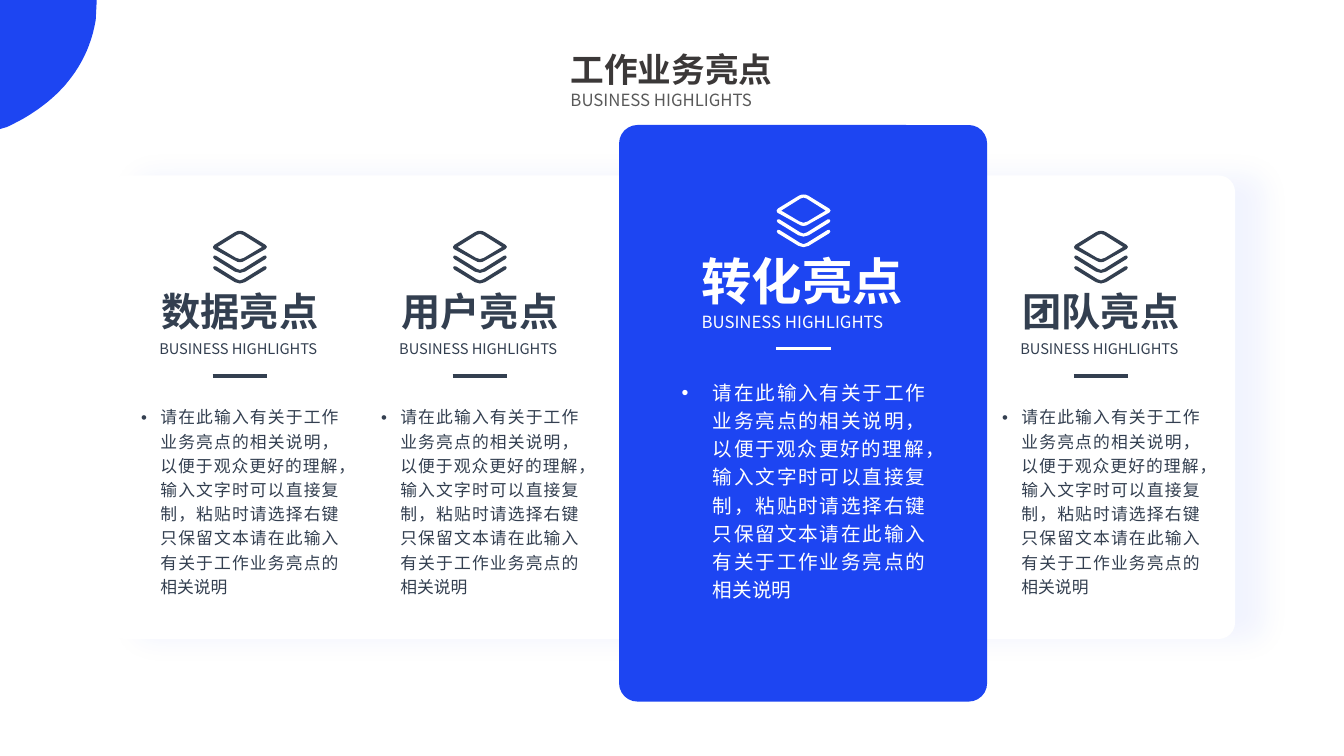
from lxml import etree
from pptx import Presentation
from pptx.dml.color import RGBColor
from pptx.enum.shapes import MSO_CONNECTOR, MSO_SHAPE
from pptx.enum.text import MSO_ANCHOR, MSO_AUTO_SIZE, PP_ALIGN
from pptx.oxml import parse_xml
from pptx.oxml.ns import nsdecls, qn
from pptx.util import Pt

PX = 9144
FINE = PX / 10
LINE = MSO_CONNECTOR.STRAIGHT
ROUND = MSO_SHAPE.ROUNDED_RECTANGLE
TOP = MSO_ANCHOR.TOP
FIXED = MSO_AUTO_SIZE.NONE
MID = PP_ALIGN.CENTER
JUST = PP_ALIGN.JUSTIFY


class Theme:
    font = "Noto Sans CJK SC"
    blue = RGBColor.from_string("1D45F2")
    white = RGBColor.from_string("FFFFFF")
    slate = RGBColor.from_string("333F50")
    dark = RGBColor.from_string("3B3838")
    gray = RGBColor.from_string("595959")
    title, tag = 24, 12
    small = {"name": 28, "tag": 10.5, "body": 12}
    large = {"name": 36, "tag": 12, "body": 14}


TAG = "BUSINESS HIGHLIGHTS "
BODY = ("请在此输入有关于工作业务亮点的相关说明，以便于观众更好的理解，"
        "输入文字时可以直接复制，粘贴时请选择右键只保留文本"
        "请在此输入有关于工作业务亮点的相关说明")

deck = Presentation()
deck.slide_width, deck.slide_height = 1333 * PX, 750 * PX
slide = deck.slides.add_slide(deck.slide_layouts[4])
shapes = slide.shapes
title, *lists = slide.placeholders


def write(box, rect, text, size, color, align, bold=False, gap=1.0, hang=0):
    shapes.element.append(box.element)
    box.left, box.top, box.width, box.height = [n * PX for n in rect]
    frame = box.text_frame
    frame.word_wrap = True
    frame.auto_size = FIXED
    frame.vertical_anchor = TOP
    frame.text = text
    para = frame.paragraphs[0]
    para.alignment = align
    para.line_spacing = gap
    para.space_before = Pt(0)
    props = para._p.get_or_add_pPr()
    if hang:
        props.set("marL", str(hang * PX))
        props.set("indent", str(-hang * PX))
        etree.SubElement(props, qn("a:buFont")).set("typeface", "Arial")
        etree.SubElement(props, qn("a:buChar")).set("char", "•")
    font = para.font
    font.size, font.bold, font.name = Pt(size), bold, Theme.font
    font.color.rgb = color
    east = etree.SubElement(props.find(qn("a:defRPr")), qn("a:ea"))
    east.set("typeface", Theme.font)


def paint(shape, color):
    shape.shadow.inherit = False
    shape.fill.solid()
    shape.fill.fore_color.rgb = color
    shape.line.fill.background()


curve = [(950, 200), (860, 730), (500, 1060), (70, 1260)]
arc = []
for step in range(25):
    t = step / 24
    parts = [(1 - t) ** 3, 3 * t * (1 - t) ** 2, 3 * t * t * (1 - t), t ** 3]
    arc.append([sum(w * pt[axis] for w, pt in zip(parts, curve)) for axis in (0, 1)])
pen = shapes.build_freeform(0, 0, FINE)
pen.add_line_segments([(960, 0), *arc, (0, 1280)])
paint(pen.convert_to_shape(), Theme.blue)

for rect, bend, color in [((107, 174, 1118, 460), 0.036, Theme.white),
                          ((614, 124, 365, 572), 0.05, Theme.blue)]:
    card = shapes.add_shape(ROUND, *[n * PX for n in rect])
    card.adjustments[0] = bend
    paint(card, color)
    if color == Theme.white:
        glow = card._element.spPr.find(qn("a:effectLst"))
        glow.append(parse_xml(
            f'<a:outerShdw {nsdecls("a")} blurRad="{Pt(20)}" dist="{Pt(20)}" dir="0" '
            f'algn="l" rotWithShape="0"><a:srgbClr val="{Theme.blue}">'
            '<a:alpha val="5000"/></a:srgbClr></a:outerShdw>'))

rim = [(10, 180), (220, 295), (245, 308), (270, 312), (295, 308), (320, 295),
       (525, 180), (538, 160), (525, 140), (320, 14), (295, 3), (270, 0),
       (245, 3), (220, 14), (15, 140), (2, 160)]
hole = [(240, 40), (270, 31), (300, 40), (490, 160), (310, 268), (270, 281),
        (230, 268), (48, 160)]
fold = [(15, 280), (220, 405), (270, 418), (320, 405), (525, 280), (536, 262),
        (527, 247), (508, 248), (305, 375), (270, 388), (235, 375), (32, 248),
        (13, 247), (4, 262)]
base = [(x, y + 105) for x, y in fold]

small = {"size": Theme.small, "color": Theme.slate, "align": MID, "hang": 19,
         "icon": 229, "name": (285, 260, 53), "tag": (332, 260, 29),
         "rule": 373, "body": (395, 216, 202)}
large = {"size": Theme.large, "color": Theme.white, "align": JUST, "hang": 31,
         "icon": 193, "name": (250, 222, 65), "tag": (304, 222, 30),
         "rule": 346, "body": (368, 262, 234)}

for name, mid, kind, body in zip(["数据亮点", "用户亮点", "转化亮点", "团队亮点"],
                                 [238, 476, 797, 1092],
                                 [small, small, large, small], lists):
    size, color, align = kind["size"], kind["color"], kind["align"]
    rects = {key: (mid - kind[key][1] // 2, kind[key][0], *kind[key][1:])
             for key in ("name", "tag", "body")}

    pen = shapes.build_freeform(*rim[0], FINE)
    pen.add_line_segments(rim[1:])
    for ring in (hole, fold, base):
        pen.move_to(*ring[0])
        pen.add_line_segments(ring[1:])
    paint(pen.convert_to_shape((mid - 27) * PX, kind["icon"] * PX), color)

    blank = (0, 0, PX, PX)
    write(shapes.add_textbox(*blank), rects["tag"], TAG, size["tag"], color, align)
    write(shapes.add_textbox(*blank), rects["name"], name, size["name"], color, align,
          bold=True, gap=0.9)
    write(body, rects["body"], BODY, size["body"], color, JUST,
          gap=1.2, hang=kind["hang"])

    level = kind["rule"] * PX
    rule = shapes.add_connector(LINE, (mid - 27) * PX, level, (mid + 27) * PX, level)
    rule.line.color.rgb = color
    rule.line.width = Pt(2.5)
    etree.SubElement(rule._element.spPr, qn("a:effectLst"))

write(shapes.add_textbox(0, 0, PX, PX), (556, 84, 221, 30), TAG, Theme.tag,
      Theme.gray, JUST)
write(title, (556, 48, 221, 46), "工作业务亮点", Theme.title, Theme.dark, JUST,
      bold=True, gap=0.9)

deck.save("out.pptx")
